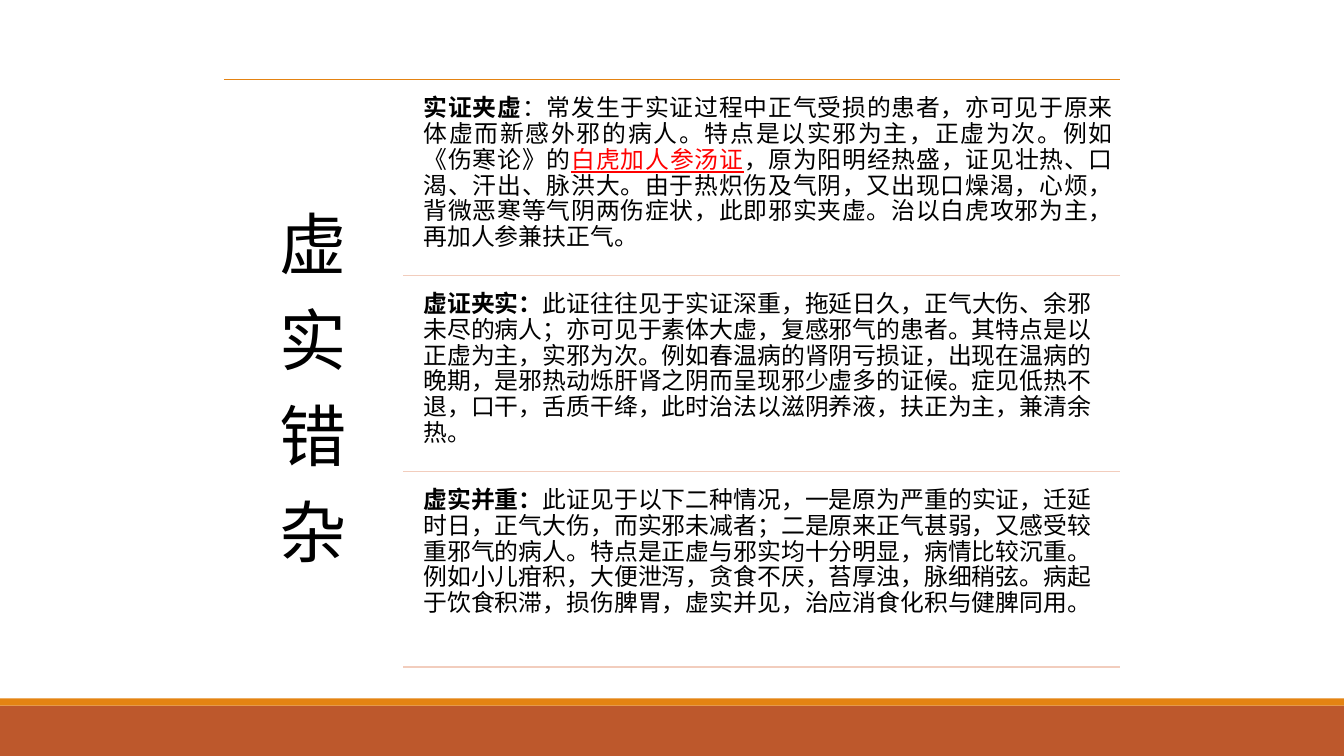
import collections
import dataclasses

import lxml.etree
import pptx
import pptx.dml.color
import pptx.enum.shapes
import pptx.enum.text
import pptx.oxml.ns
import pptx.util

Inches = pptx.util.Inches
Pt = pptx.util.Pt
Align = pptx.enum.text.PP_ALIGN

Box = collections.namedtuple("Box", "left top width height")
Span = collections.namedtuple("Span", "text style")
Style = collections.namedtuple("Style", "face color bold underline")


def rgb(value):
    """Return the colour for a hexadecimal string."""
    return pptx.dml.color.RGBColor.from_string(value)


@dataclasses.dataclass(frozen=True)
class Theme:
    """Colours, fonts and type sizes of the slide."""
    ink: str = "000000"
    accent: str = "FF0000"
    orange: str = "E48312"
    rust: str = "BD582C"
    pale: str = "F2CDBD"
    chinese: str = "Noto Sans CJK SC"
    latin: str = "Calibri"
    title_size: float = 48
    title_leading: float = 68.6
    body_size: float = 17
    body_leading: float = 18.4
    rule_width: float = 1.25


THEME = Theme()
LEAD = Style(THEME.chinese, THEME.ink, True, False)
COLON = Style(THEME.latin, THEME.ink, True, False)
PLAIN = Style(THEME.latin, THEME.ink, False, False)
TERM = Style(THEME.latin, THEME.accent, False, True)

TITLE = "虚实错杂"
SECTIONS = [
    (Align.JUSTIFY, [
        Span("实证夹虚", LEAD),
        Span("：常发生于实证过程中正气受损的患者，亦可见于原来体虚而新感外邪的病人。"
             "特点是以实邪为主，正虚为次。例如《伤寒论》的", PLAIN),
        Span("白虎加人参汤证", TERM),
        Span("，原为阳明经热盛，证见壮热、口渴、汗出、脉洪大。由于热炽伤及气阴，"
             "又出现口燥渴，心烦，背微恶寒等气阴两伤症状，此即邪实夹虚。"
             "治以白虎攻邪为主，再加人参兼扶正气。", PLAIN),
    ]),
    (Align.LEFT, [
        Span("虚证夹实", LEAD),
        Span("：", COLON),
        Span("此证往往见于实证深重，拖延日久，正气大伤、余邪未尽的病人；"
             "亦可见于素体大虚，复感邪气的患者。其特点是以正虚为主，实邪为次。"
             "例如春温病的肾阴亏损证，出现在温病的晚期，是邪热动烁肝肾之阴而呈现"
             "邪少虚多的证候。症见低热不退，口干，舌质干绛，此时治法以滋阴养液，"
             "扶正为主，兼清余热。", PLAIN),
    ]),
    (Align.LEFT, [
        Span("虚实并重", LEAD),
        Span("：", COLON),
        Span("此证见于以下二种情况，一是原为严重的实证，迁延时日，正气大伤，"
             "而实邪未减者；二是原来正气甚弱，又感受较重邪气的病人。"
             "特点是正虚与邪实均十分明显，病情比较沉重。例如小儿疳积，大便泄泻，"
             "贪食不厌，苔厚浊，脉细稍弦。病起于饮食积滞，损伤脾胃，虚实并见，"
             "治应消食化积与健脾同用。", PLAIN),
    ]),
]


def set_type(paragraph, size, leading, alignment):
    """Set the size, line spacing, alignment and Chinese face of a paragraph."""
    paragraph.alignment = alignment
    paragraph.line_spacing = Pt(leading)
    paragraph.space_before = paragraph.space_after = Pt(0)
    paragraph.font.size = Pt(size)
    paragraph.font.name = THEME.chinese
    latin = paragraph._p.find(".//" + pptx.oxml.ns.qn("a:latin"))
    asian = lxml.etree.Element(pptx.oxml.ns.qn("a:ea"), typeface=THEME.chinese)
    latin.addnext(asian)


def set_frame(frame, inset, top_inset):
    """Make a text frame wrap from its top with the given insets."""
    frame.word_wrap = True
    frame.auto_size = pptx.enum.text.MSO_AUTO_SIZE.NONE
    frame.vertical_anchor = pptx.enum.text.MSO_ANCHOR.TOP
    frame.margin_left = frame.margin_right = frame.margin_bottom = Inches(inset)
    frame.margin_top = Inches(top_inset)


def add_rule(page, left, right, top, color):
    """Draw one horizontal rule."""
    rule = page.shapes.add_connector(
        pptx.enum.shapes.MSO_CONNECTOR.STRAIGHT,
        Inches(left), Inches(top), Inches(right), Inches(top))
    rule.line.color.rgb = rgb(color)
    rule.line.width = Pt(THEME.rule_width)
    lxml.etree.SubElement(rule._element.spPr, pptx.oxml.ns.qn("a:effectLst"))


def add_band(page, box, color):
    """Draw one plain coloured band."""
    band = page.shapes.add_shape(
        pptx.enum.shapes.MSO_SHAPE.RECTANGLE, *map(Inches, box))
    band.shadow.inherit = False
    band.fill.solid()
    band.fill.fore_color.rgb = rgb(color)
    band.line.fill.background()


def add_footer(page, box):
    """Draw the rust footer with its thin orange edge."""
    edge = 0.07
    add_band(page, Box(box.left, box.top + edge, box.width, box.height - edge),
             THEME.rust)
    add_band(page, Box(box.left, box.top, box.width, edge), THEME.orange)


def add_title(page, box):
    """Stack the title characters down the box."""
    title = page.shapes.title
    title.left, title.top, title.width, title.height = map(Inches, box)
    frame = title.text_frame
    frame.text = "\n".join(TITLE)
    set_frame(frame, 0.2, 1.06)
    for paragraph in frame.paragraphs:
        set_type(paragraph, THEME.title_size, THEME.title_leading, Align.CENTER)
        paragraph.font.color.rgb = rgb(THEME.ink)


def add_section(page, box, alignment, spans):
    """Write one section of mixed spans in the box."""
    frame = page.shapes.add_textbox(*map(Inches, box)).text_frame
    set_frame(frame, 0.07, 0.07)
    paragraph = frame.paragraphs[0]
    set_type(paragraph, THEME.body_size, THEME.body_leading, alignment)
    for span in spans:
        run = paragraph.add_run()
        run.text = span.text
        run.font.name = span.style.face
        run.font.color.rgb = rgb(span.style.color)
        run.font.bold = span.style.bold
        run.font.underline = span.style.underline


def add_sections(page, box):
    """Divide the box into equal sections, each closed by a pale rule."""
    indent, gap = 0.13, 0.09
    pitch = box.height / len(SECTIONS)
    for index, (alignment, spans) in enumerate(SECTIONS):
        top = box.top + index * pitch
        add_section(page, Box(box.left + indent, top + gap,
                              box.width - indent, pitch - gap), alignment, spans)
        add_rule(page, box.left, box.left + box.width, top + pitch, THEME.pale)


def add_content(page, box):
    """Place the top rule, the title column and the sections."""
    column = 1.78
    add_rule(page, box.left, box.left + box.width, box.top, THEME.orange)
    add_title(page, Box(box.left, box.top, column, box.height))
    add_sections(page, Box(box.left + column, box.top,
                           box.width - column, box.height - 0.1))


def main():
    """Build and save the deck."""
    deck = pptx.Presentation()
    deck.slide_width, deck.slide_height = Inches(13.33), Inches(7.5)
    page = deck.slides.add_slide(deck.slide_layouts[5])
    add_footer(page, Box(0, 6.93, 13.33, 0.57))
    add_content(page, Box(2.22, 0.79, 8.89, 5.93))
    deck.save("out.pptx")


if __name__ == "__main__":
    main()
